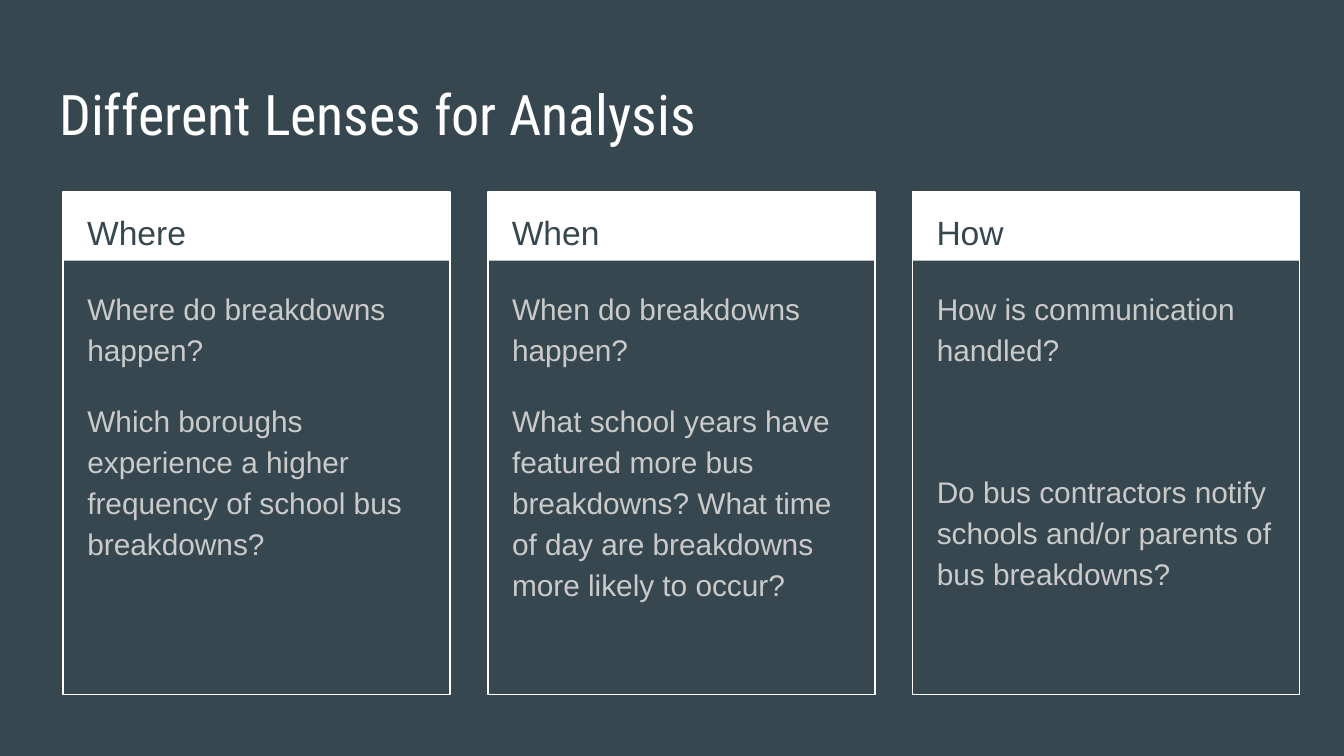
import pptx
import pptx.dml.color
import pptx.enum.shapes
import pptx.enum.text
import pptx.util
from lxml import etree
from pptx.util import Inches

COLORS = {"background": "37474F", "white": "FFFFFF", "body": "CACACA"}

# Heading, questions, space in points before the second question
COLUMNS = [
    ("Where", ["Where do breakdowns happen?",
               "Which boroughs experience a higher frequency of school bus breakdowns?"], 16),
    ("When", ["When do breakdowns happen?",
              "What school years have featured more bus breakdowns? "
              "What time of day are breakdowns more likely to occur?"], 16),
    ("How", ["How is communication handled?",
             "Do bus contractors notify schools and/or parents of bus breakdowns?"], 54),
]


def color(name):
    return pptx.dml.color.RGBColor.from_string(COLORS[name])


def write_text(shape, box, texts, font, size, color_name, line_spacing=1.15, gap=0):
    shape.left, shape.top, shape.width, shape.height = [Inches(value) for value in box]
    frame = shape.text_frame
    frame.word_wrap = True
    frame.auto_size = pptx.enum.text.MSO_AUTO_SIZE.NONE
    frame.vertical_anchor = pptx.enum.text.MSO_ANCHOR.TOP
    frame.margin_left = frame.margin_right = Inches(0.1)
    frame.margin_top = frame.margin_bottom = Inches(0.1)
    for index, text in enumerate(texts):
        paragraph = frame.add_paragraph() if index else frame.paragraphs[0]
        paragraph.alignment = pptx.enum.text.PP_ALIGN.LEFT
        paragraph.line_spacing = line_spacing
        paragraph.space_before = pptx.util.Pt(gap if index else 0)
        paragraph.space_after = pptx.util.Pt(0)
        # Plain paragraphs: no bullet, no indent
        properties = paragraph._p.get_or_add_pPr()
        properties.set("marL", "0")
        properties.set("indent", "0")
        etree.SubElement(properties, pptx.oxml.ns.qn("a:buNone"))
        run = paragraph.add_run()
        run.text = text
        run.font.name = font
        run.font.size = pptx.util.Pt(size)
        run.font.bold = False
        run.font.color.rgb = color(color_name)


# Widescreen slide, 16:9
presentation = pptx.Presentation()
presentation.slide_width = Inches(10)
presentation.slide_height = Inches(10 * 9 / 16)
slide = presentation.slides.add_slide(presentation.slide_layouts[4])
slide.background.fill.solid()
slide.background.fill.fore_color.rgb = color("background")

# Title
write_text(slide.shapes.title, (0.34, 0.49, 9.32, 0.63), ["Different Lenses for Analysis"],
           "Roboto Condensed", 30, "white", line_spacing=1)

# The layout has four body placeholders, the slide needs three
bodies = list(slide.placeholders)[1:]
spare = bodies.pop()._element
spare.getparent().remove(spare)

# Three columns: header bar, frame, heading and questions
for column, (heading, questions, gap) in enumerate(COLUMNS):
    left = 0.47 + column * 3.16

    header = slide.shapes.add_shape(pptx.enum.shapes.MSO_SHAPE.RECTANGLE, Inches(left),
                                    Inches(1.43), Inches(2.88), Inches(0.51))
    header.shadow.inherit = False
    header.fill.solid()
    header.fill.fore_color.rgb = color("white")
    header.line.fill.background()

    frame_shape = slide.shapes.add_shape(pptx.enum.shapes.MSO_SHAPE.RECTANGLE, Inches(left),
                                         Inches(1.43), Inches(2.88), Inches(3.74))
    frame_shape.shadow.inherit = False
    frame_shape.fill.background()
    frame_shape.line.color.rgb = color("white")
    frame_shape.line.width = pptx.util.Pt(0.75)

    heading_box = slide.shapes.add_textbox(0, 0, 0, 0)
    write_text(heading_box, (left + 0.08, 1.43, 2.73, 0.5), [heading],
               "Arial", 18, "background")
    write_text(bodies[column], (left + 0.08, 2.02, 2.71, 3.06), questions,
               "Arial", 16, "body", gap=gap)

presentation.save("out.pptx")
